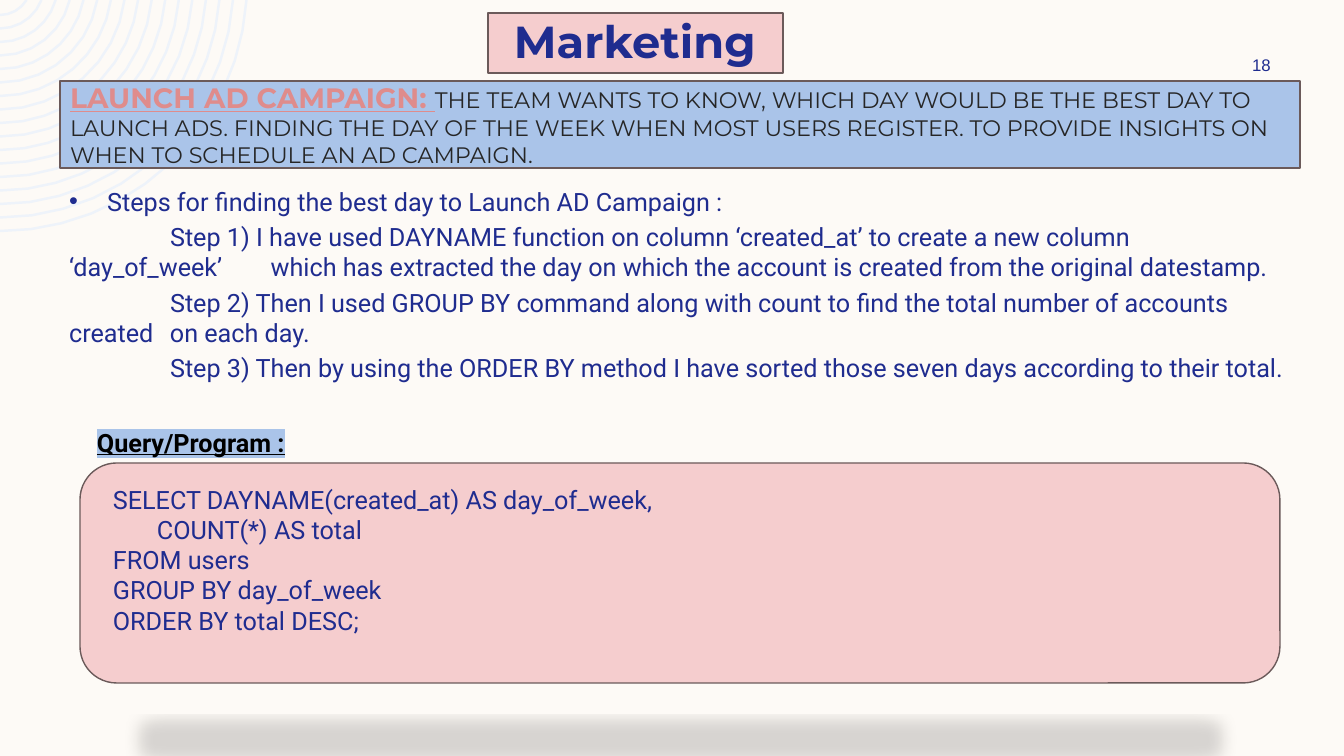
from math import asin, cos, pi, sin, sqrt
from lxml.etree import SubElement
from pptx import Presentation
from pptx.dml.color import RGBColor
from pptx.enum.shapes import MSO_SHAPE
from pptx.enum.text import MSO_ANCHOR, MSO_AUTO_SIZE, PP_ALIGN
from pptx.oxml import parse_xml
from pptx.oxml.ns import nsdecls, qn
from pptx.util import Pt

PX = 914400 / 100.8
NAVY, PINK, BLUE, EDGE = "1F2C8F", "F5CDCE", "AAC4E9", "6B5A5A"
PAPER, RING, ROSE, INK = "FDFAF6", "EEF3FA", "DF8C8C", "262626"

HEAD = dict(name="Montserrat", size=32, bold=True, color=NAVY)
LEAD = dict(name="Montserrat", size=20, bold=True, underline=True, color=ROSE)
BRIEF = dict(name="Montserrat", size=16, bold=False, underline=False, color=INK)
TEXT = dict(name="Roboto", size=18, color=NAVY)
LABEL = dict(name="Roboto", size=18, bold=True, underline=True, color="000000")
NUMBER = dict(name="Arial", size=12, color=NAVY)

GOAL = [
    ("LAUNCH AD CAMPAIGN: ", LEAD),
    ("THE TEAM WANTS TO KNOW, WHICH DAY WOULD BE THE BEST DAY TO LAUNCH ADS. "
     "FINDING THE DAY OF THE WEEK WHEN MOST USERS REGISTER. TO PROVIDE INSIGHTS "
     "ON WHEN TO SCHEDULE AN AD CAMPAIGN.", BRIEF),
]
# text, left margin, first-line indent, tab stop, bullet
STEPS = [
    ("Steps for finding the best day to Launch AD Campaign :", 38, -38, None, "•"),
    ("Step 1) I have used DAYNAME function on column ‘created_at’ to create a new "
     "column ‘day_of_week’\twhich has extracted the day on which the account is "
     "created from the original datestamp.", 0, 101, 277, None),
    ("Step 2) Then I used GROUP BY command along with count to find the total number "
     "of accounts created\ton each day.", 0, 101, 182, None),
    ("Step 3) Then by using the ORDER BY method I have sorted those seven days "
     "according to their total.", 0, 101, None, None),
]
# text, left margin
QUERY = [
    ("SELECT DAYNAME(created_at) AS day_of_week,", 0),
    ("COUNT(*) AS total", 44),
    ("FROM users", 0),
    ("GROUP BY day_of_week", 0),
    ("ORDER BY total DESC;", 0),
]
RINGS, RADIUS, STEP, DROP = 17, 247, 13.5, 16


def emu(*px):
    return [round(v * PX) for v in px]


def rgb(code):
    return RGBColor.from_string(code)


def write(para, text, style):
    run = para.add_run()
    run.text = text
    for key, value in style.items():
        if key == "color":
            run.font.color.rgb = rgb(value)
        else:
            setattr(run.font, key, Pt(value) if key == "size" else value)
    return run


def indent(para, left, first=0):
    props = para._p.get_or_add_pPr()
    for key, value in zip(("marL", "indent"), emu(left, first)):
        props.set(key, str(value))
    return props


def place(shape, box):
    shape.left, shape.top, shape.width, shape.height = emu(*box)


def frame(shape, anchor):
    body = shape.text_frame
    for key, value in dict(word_wrap=True, auto_size=MSO_AUTO_SIZE.NONE,
                           vertical_anchor=anchor).items():
        setattr(body, key, value)
    return body


def label(box, text, style, anchor=MSO_ANCHOR.MIDDLE, align=PP_ALIGN.LEFT):
    para = frame(slide.shapes.add_textbox(*emu(*box)), anchor).paragraphs[0]
    para.alignment = align
    return write(para, text, style)


def panel(kind, box, color):
    shape = slide.shapes.add_shape(kind, *emu(*box))
    shape.shadow.inherit = False
    shape.fill.solid()
    shape.fill.fore_color.rgb = rgb(color)
    shape.line.color.rgb = rgb(EDGE)
    shape.line.width = Pt(1)
    return shape


def arc(radius):
    """Points, in tenths of a px, of the part of a circle that is on the slide."""
    start = asin(DROP / radius)
    count = round(0.75 * sqrt(radius))
    turns = [start + (pi / 2 - start) * i / count for i in range(count + 1)]
    return [(10 * radius * cos(t), 10 * (radius * sin(t) - DROP)) for t in turns]


def rings():
    pen = None
    for i in range(RINGS):
        first, *rest = arc(RADIUS - STEP * i)
        if pen is None:
            pen = slide.shapes.build_freeform(*first, scale=PX / 10)
        else:
            pen.move_to(*first)
        pen.add_line_segments(rest, close=False)
    shape = pen.convert_to_shape()
    shape.shadow.inherit = False
    shape.fill.background()
    shape.line.color.rgb = rgb(RING)
    shape.line.width = Pt(1.75)


deck = Presentation()
deck.slide_width, deck.slide_height = emu(1344, 756)
slide = deck.slides.add_slide(deck.slide_layouts[1])
slide.background.fill.solid()
slide.background.fill.fore_color.rgb = rgb(PAPER)
title, steps = slide.shapes.title, slide.placeholders[1]

rings()
panel(MSO_SHAPE.RECTANGLE, (60, 81, 1240, 87), BLUE)
for holder in (title, steps):
    slide.shapes._spTree.append(holder._element)

place(title, (60, 74, 1256, 101))
para = frame(title, MSO_ANCHOR.MIDDLE).paragraphs[0]
para.alignment = PP_ALIGN.LEFT
for text, style in GOAL:
    write(para, text, style)

place(steps, (59, 181, 1239, 214))
body = frame(steps, MSO_ANCHOR.TOP)
for i, (text, left, first, tab, bullet) in enumerate(STEPS):
    para = body.add_paragraph() if i else body.paragraphs[0]
    para.space_before = Pt(3.6)
    props = indent(para, left, first)
    if bullet:
        SubElement(props, qn("a:buFont")).set("typeface", "Arial")
        SubElement(props, qn("a:buChar")).set("char", bullet)
    else:
        SubElement(props, qn("a:buNone"))
    if tab:
        stop = SubElement(SubElement(props, qn("a:tabLst")), qn("a:tab"))
        stop.set("pos", str(emu(tab)[0]))
        stop.set("algn", "l")
    write(para, text, TEXT)

panel(MSO_SHAPE.RECTANGLE, (488, 13, 295, 60), PINK)
label((504, 26, 353, 30), "Marketing", HEAD)
label((1207, 50, 109, 30), "18", NUMBER, align=PP_ALIGN.CENTER)

card = panel(MSO_SHAPE.ROUNDED_RECTANGLE, (80, 463, 1200, 220), PINK)
card._element.spPr.find(qn("a:effectLst")).append(parse_xml(
    f'<a:outerShdw {nsdecls("a")} blurRad="152400" dist="317500" dir="5400000" '
    'sx="90000" sy="-19000" rotWithShape="0"><a:srgbClr val="000000">'
    '<a:alpha val="15000"/></a:srgbClr></a:outerShdw>'))

run = label((87, 422, 495, 40), "Query/Program :", LABEL, MSO_ANCHOR.TOP)
run._r.rPr.find(qn("a:solidFill")).addnext(parse_xml(
    f'<a:highlight {nsdecls("a")}><a:srgbClr val="{BLUE}"/></a:highlight>'))

code = frame(slide.shapes.add_textbox(*emu(103, 479, 1177, 163)), MSO_ANCHOR.TOP)
for i, (text, left) in enumerate(QUERY):
    para = code.add_paragraph() if i else code.paragraphs[0]
    indent(para, left)
    write(para, text, TEXT)

deck.save("out.pptx")
